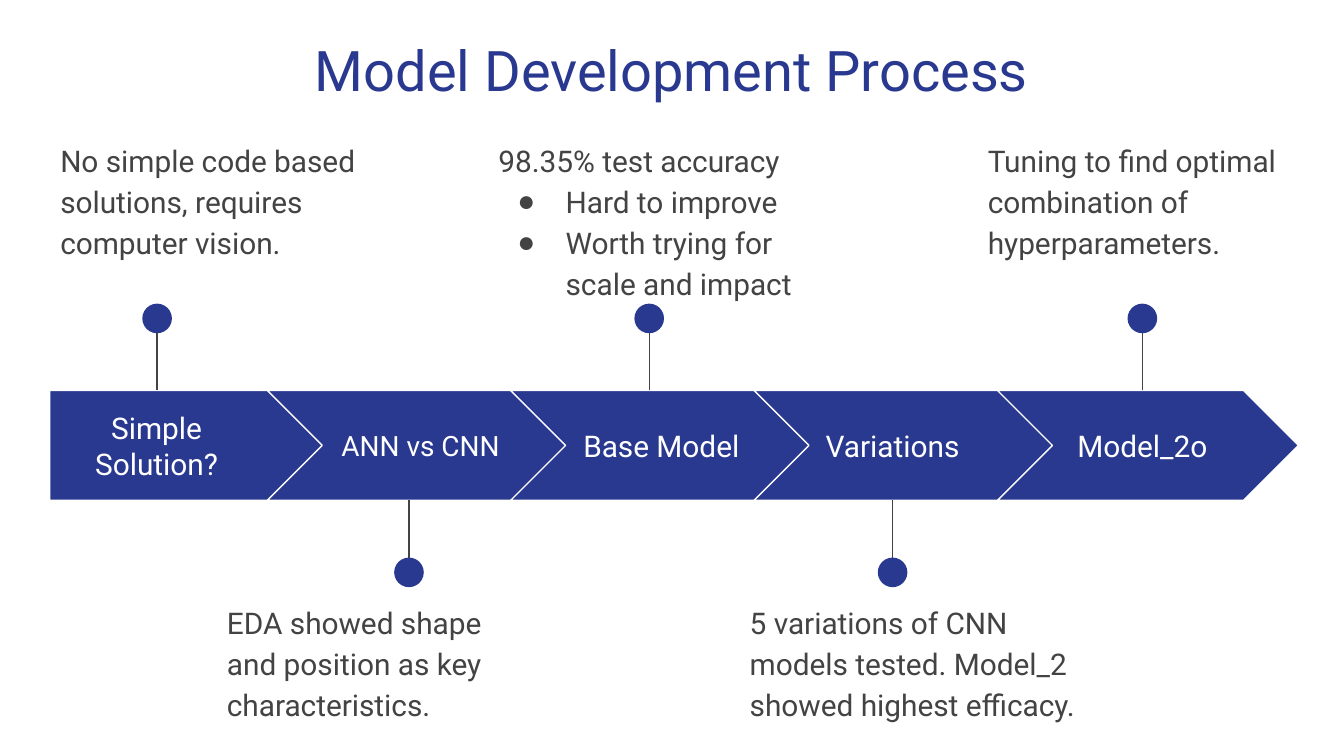
from dataclasses import dataclass

from lxml.etree import SubElement
from pptx import Presentation
from pptx.dml.color import RGBColor
from pptx.enum.shapes import MSO_CONNECTOR, MSO_SHAPE
from pptx.enum.text import MSO_ANCHOR, MSO_AUTO_SIZE, PP_ALIGN
from pptx.oxml.ns import qn
from pptx.util import Cm, Pt

BLUE = RGBColor(0x2A, 0x39, 0x90)
GREY = RGBColor(0x43, 0x43, 0x43)
WHITE = RGBColor(0xFF, 0xFF, 0xFF)
FONT = "Roboto"

# All lengths below are in centimetres.
ARROW_TOP, ARROW_HEIGHT = 7.38, 2.08
ARROW_BOTTOM = ARROW_TOP + ARROW_HEIGHT
CHEVRON_LEFT, CHEVRON_WIDTH, CHEVRON_STEP = 5.05, 5.69, 4.6
DOT_SIZE, STEM_LENGTH = 0.56, 1.36
NOTE_TOP_ABOVE, NOTE_TOP_BELOW = 2.34, 11.07


@dataclass
class Step:
    label: str
    label_left: float
    marker_x: float
    note: str
    note_left: float
    bullets: tuple = ()
    label_width: float = 3.66
    label_size: int = 16
    note_width: float = 6.22


STEPS = [
    Step("Simple Solution?", 0.94, 2.97,
         "No simple code based solutions, requires computer vision.", 0.89,
         label_width=4.04),
    Step("ANN vs CNN", 6.12, 7.73,
         "EDA showed shape and position as key characteristics.", 4.04,
         label_size=15),
    Step("Base Model", 10.67, 12.27, "98.35% test accuracy", 9.17,
         bullets=("Hard to improve", "Worth trying for scale and impact")),
    Step("Variations", 15.04, 16.87,
         "5 variations of CNN models tested. Model_2 showed highest efficacy.", 13.92,
         note_width=7.01),
    Step("Model_2o", 19.76, 21.59,
         "Tuning to find optimal combination of hyperparameters.", 18.42),
]


def place(shape, left, top, width, height):
    shape.left, shape.top = Cm(left), Cm(top)
    shape.width, shape.height = Cm(width), Cm(height)


def prepare_frame(shape, anchor=MSO_ANCHOR.TOP):
    frame = shape.text_frame
    frame.word_wrap = True
    frame.auto_size = MSO_AUTO_SIZE.NONE
    frame.vertical_anchor = anchor
    frame.margin_left = frame.margin_right = Cm(0.25)
    frame.margin_top = frame.margin_bottom = Cm(0.25)
    return frame


def style_font(paragraph, size, color):
    paragraph.font.name = FONT
    paragraph.font.size = Pt(size)
    paragraph.font.color.rgb = color


def set_bullet(paragraph, character=None):
    """Give the paragraph a hanging bullet, or remove the inherited one."""
    properties = paragraph._p.get_or_add_pPr()
    properties.set("marL", str(Cm(1.27) if character else 0))
    properties.set("indent", str(Cm(-0.91) if character else 0))
    if character:
        SubElement(properties, qn("a:buChar")).set("char", character)
    else:
        SubElement(properties, qn("a:buNone"))


def add_title(slide, text):
    title = slide.shapes.title
    place(title, 0.86, 0.43, 23.67, 1.68)
    frame = prepare_frame(title)
    frame.text = text
    paragraph = frame.paragraphs[0]
    paragraph.alignment = PP_ALIGN.CENTER
    style_font(paragraph, 30, BLUE)


def add_filled_shape(slide, kind, left, top, width, height):
    shape = slide.shapes.add_shape(kind, Cm(left), Cm(top), Cm(width), Cm(height))
    shape.shadow.inherit = False
    shape.fill.solid()
    shape.fill.fore_color.rgb = BLUE
    shape.line.fill.background()
    return shape


def add_arrow(slide, index):
    if index == 0:
        kind, left, width = MSO_SHAPE.PENTAGON, 0.94, 5.21
    else:
        kind, width = MSO_SHAPE.CHEVRON, CHEVRON_WIDTH
        left = CHEVRON_LEFT + (index - 1) * CHEVRON_STEP
    arrow = add_filled_shape(slide, kind, left, ARROW_TOP, width, ARROW_HEIGHT)
    arrow.line.color.rgb = WHITE
    arrow.line.width = Pt(0.75)


def add_label(slide, step):
    box = slide.shapes.add_textbox(Cm(step.label_left), Cm(7.77), Cm(step.label_width), Cm(1.3))
    frame = prepare_frame(box, MSO_ANCHOR.MIDDLE)
    frame.text = step.label
    paragraph = frame.paragraphs[0]
    paragraph.alignment = PP_ALIGN.CENTER
    style_font(paragraph, step.label_size, WHITE)


def add_marker(slide, x, above):
    """Draw a stem from the arrow band to a dot above or below it."""
    start = ARROW_TOP if above else ARROW_BOTTOM
    end = start - STEM_LENGTH if above else start + STEM_LENGTH
    stem = slide.shapes.add_connector(MSO_CONNECTOR.STRAIGHT, Cm(x), Cm(start), Cm(x), Cm(end))
    stem.line.color.rgb = GREY
    stem.line.width = Pt(0.75)
    SubElement(stem._element.spPr, qn("a:effectLst"))
    radius = DOT_SIZE / 2
    add_filled_shape(slide, MSO_SHAPE.OVAL, x - radius, end - radius, DOT_SIZE, DOT_SIZE)


def add_note(slide, step, above):
    """Write the step's note; one with bullets goes in the body placeholder."""
    if step.bullets:
        box, height = slide.placeholders[1], 3.4
    else:
        box, height = slide.shapes.add_textbox(0, 0, 0, 0), 2.51
    top = NOTE_TOP_ABOVE if above else NOTE_TOP_BELOW
    place(box, step.note_left, top, step.note_width, height)
    frame = prepare_frame(box)
    frame.text = "\n".join((step.note, *step.bullets))
    for index, paragraph in enumerate(frame.paragraphs):
        paragraph.line_spacing = 1.15
        paragraph.space_before = Pt(0)
        set_bullet(paragraph, "●" if index else None)
        style_font(paragraph, 16, GREY)


def main():
    presentation = Presentation()
    presentation.slide_width, presentation.slide_height = Cm(25.4), Cm(14.29)
    slide = presentation.slides.add_slide(presentation.slide_layouts[1])
    add_title(slide, "Model Development Process")
    for index, step in enumerate(STEPS):
        above = index % 2 == 0
        add_arrow(slide, index)
        add_label(slide, step)
        add_marker(slide, step.marker_x, above)
        add_note(slide, step, above)
    presentation.save("out.pptx")


if __name__ == "__main__":
    main()
